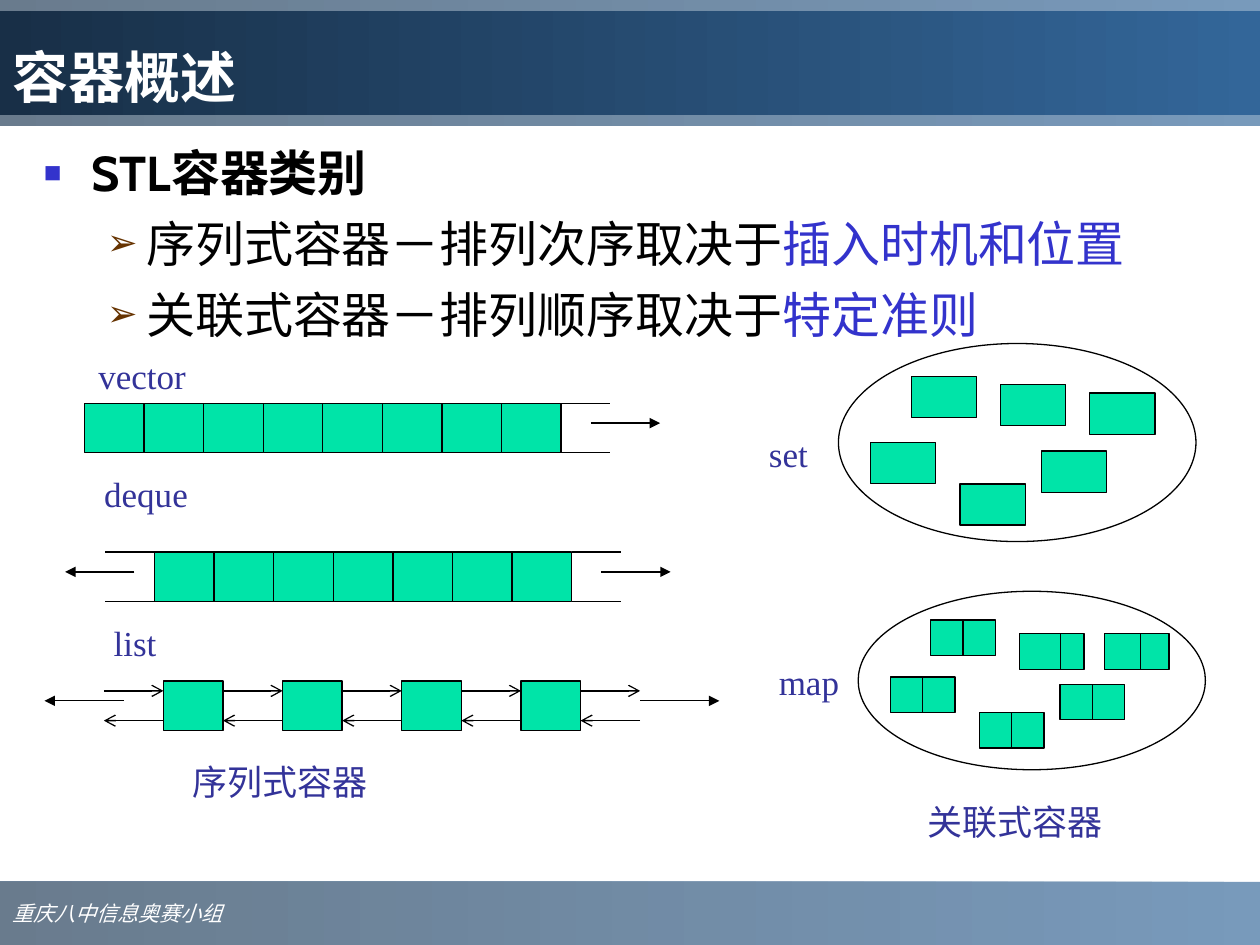
from lxml import etree
from pptx import Presentation
from pptx import util as u
from pptx.dml.color import RGBColor
from pptx.enum import shapes, text
from pptx.oxml.ns import qn

COLORS = {
    "black": "000000", "white": "FFFFFF", "cell": "00E4A8", "label": "333399",
    "accent": "3333CC", "brown": "663300", "sky": "336699",
    "band_dark": "1C3853", "title_dark": "182F47",
}
TITLE = "容器概述"
FOOTER = "重庆八中信息奥赛小组"
OUTLINE = [
    {"level": 0, "indent": (27, -27), "bullet": ("■", "accent", 60),
     "spans": [("STL容器类别", "black", True)]},
    {"level": 1, "indent": (58.5, -22.5), "bullet": ("➢", "brown", 75),
     "spans": [("序列式容器－排列次序取决于", "black", False), ("插入时机和位置", "accent", False)]},
    {"level": 1, "indent": (58.5, -22.5), "bullet": ("➢", "brown", 75),
     "spans": [("关联式容器－排列顺序取决于", "black", False), ("特定准则", "accent", False)]},
]
LABELS = [
    ("vector", 56, 202.3, 50.5), ("deque", 59.5, 270, 48), ("list", 65, 355, 24.5),
    ("序列式容器", 105, 434.4, 110), ("set", 439.3, 247, 22.5), ("map", 445, 377.5, 34.5),
    ("关联式容器", 525, 457.2, 110),
]
CELL_W, CELL_H = 34.05, 28.2
VECTOR = {"left": 48.25, "top": 230.5, "count": 8, "open_left": False}
DEQUE = {"left": 88.3, "top": 315.5, "count": 7, "open_left": True}
LIST = {"left": 93.4, "top": 389.1, "count": 4}
SET_OVAL = (479.1, 196.3, 204.3, 113.2)
SET_CELLS = [(520.8, 215), (571.7, 219.7), (497.3, 252.8), (548.5, 276.5), (595, 257.7), (622.7, 224.5)]
SET_SIZE = (37.4, 23.6)
MAP_OVAL = (490.4, 337.9, 198.4, 102)
MAP_CELLS = [
    (531.8, 354.3, None), (582.5, 362.2, 23.4), (508.8, 386.9, None),
    (559.6, 407.2, None), (605.7, 391, None), (631.1, 362.2, 20.5),
]
MAP_SIZE = (37, 20.3)


def rgb(name):
    return RGBColor.from_string(COLORS[name])


def points(*values):
    return [u.Pt(round(value, 2)) for value in values]


def add_shape(page, kind, place, fill):
    shape = page.shapes.add_shape(kind, *points(*place))
    shape.shadow.inherit = False
    shape.fill.solid()
    shape.fill.fore_color.rgb = rgb(fill)
    shape.line.color.rgb = rgb("black")
    shape.line.width = u.Pt(0.75)
    return shape


def add_cell(page, left, top, width=CELL_W, height=CELL_H):
    return add_shape(page, shapes.MSO_SHAPE.RECTANGLE, (left, top, width, height), "cell")


def add_band(page, place, dark, alpha=None):
    band = add_shape(page, shapes.MSO_SHAPE.RECTANGLE, place, "white")
    band.line.fill.background()
    band.fill.gradient()
    band.fill.gradient_angle = 180
    for stop, name, position in zip(band.fill.gradient_stops, ("sky", dark), (0, 1)):
        stop.color.rgb = rgb(name)
        stop.position = position
    if alpha:
        for color in band._element.spPr.iter(qn("a:srgbClr")):
            etree.SubElement(color, qn("a:alpha"), val=str(alpha * 1000))
    return band


def add_line(page, start, end, head=None):
    line = page.shapes.add_connector(shapes.MSO_CONNECTOR.STRAIGHT, *points(*start, *end))
    line.line.color.rgb = rgb("black")
    line.line.width = u.Pt(0.75)
    if head:
        etree.SubElement(line.line._get_or_add_ln(), qn("a:tailEnd"), type=head)
    etree.SubElement(line._element.spPr, qn("a:effectLst"))
    return line


def add_span(para, words, *, size, font, color, bold=False, italic=False):
    span = para.add_run()
    span.text = words
    span.font.size = u.Pt(size)
    span.font.name = font
    span.font.bold = bold
    span.font.italic = italic
    span.font.color.rgb = rgb(color)


def set_frame(frame, anchor, wrap, margins=(7.2, 3.6)):
    frame.word_wrap = wrap
    frame.vertical_anchor = anchor
    frame.margin_left = frame.margin_right = u.Pt(margins[0])
    frame.margin_top = frame.margin_bottom = u.Pt(margins[1])
    return frame.paragraphs[0]


def set_bullet(para, sign, color, percent, indent):
    props = para._p.get_or_add_pPr()
    props.set("marL", str(u.Pt(indent[0])))
    props.set("indent", str(u.Pt(indent[1])))
    tint = etree.SubElement(props, qn("a:buClr"))
    etree.SubElement(tint, qn("a:srgbClr"), val=COLORS[color])
    etree.SubElement(props, qn("a:buSzPct"), val=str(percent * 1000))
    etree.SubElement(props, qn("a:buFont"), typeface="Arial")
    etree.SubElement(props, qn("a:buChar"), char=sign)


def add_outline(page):
    box = page.shapes.add_textbox(*points(18, 78, 678, 420))
    para = set_frame(box.text_frame, text.MSO_ANCHOR.TOP, True)
    for index, item in enumerate(OUTLINE):
        if index:
            para = box.text_frame.add_paragraph()
            para.space_before = u.Pt(7)
        para.level = item["level"]
        set_bullet(para, *item["bullet"], item["indent"])
        for words, color, bold in item["spans"]:
            add_span(para, words, size=28, font="Cabin", color=color, bold=bold)


def add_label(page, words, left, top, width):
    box = page.shapes.add_textbox(*points(left, top, width, 24))
    para = set_frame(box.text_frame, text.MSO_ANCHOR.TOP, False, (0, 0))
    para.alignment = text.PP_ALIGN.CENTER
    add_span(para, words, size=20, font="Times New Roman", color="label")


def add_array(page, left, top, count, open_left):
    for index in range(count):
        add_cell(page, left + index * CELL_W, top)
    ends = [(left + count * CELL_W, 1, 17)] + ([(left, -1, 11.5)] if open_left else [])
    for edge, side, gap in ends:
        for y in (top, top + CELL_H):
            add_line(page, (edge, y), (edge + side * 28.2, y))
        y = top + 11.3
        start = edge + side * gap
        add_line(page, (start, y), (start + side * 39.6, y), "triangle")


def add_list(page, left, top, count):
    pitch = 2 * CELL_W
    for index in range(count):
        add_cell(page, left + index * pitch, top)
    for index in range(count + 1):
        end = left + index * pitch
        start = end - CELL_W
        add_line(page, (start, top + 5.7), (end, top + 5.7), "arrow")
        add_line(page, (end, top + 22.7), (start, top + 22.7), "arrow")
    y = top + 11.4
    right = left + count * pitch
    add_line(page, (right, y), (right + 45.3, y), "triangle")
    add_line(page, (left - 22.7, y), (left - 68, y), "triangle")


def add_set(page):
    add_shape(page, shapes.MSO_SHAPE.OVAL, SET_OVAL, "white")
    for left, top in SET_CELLS:
        add_cell(page, left, top, *SET_SIZE)


def add_map(page):
    add_shape(page, shapes.MSO_SHAPE.OVAL, MAP_OVAL, "white")
    width, height = MAP_SIZE
    for left, top, split in MAP_CELLS:
        cell = add_cell(page, left, top, width, height)
        x = left + (split or width / 2)
        divider = add_line(page, (x, top), (x, top + height))
        if split is None:
            divider.begin_connect(cell, 0)
            divider.end_connect(cell, 2)


def main():
    deck = Presentation()
    deck.slide_width, deck.slide_height = points(720, 540)
    page = deck.slides.add_slide(deck.slide_layouts[6])

    footer = add_band(page, (0, 504, 720, 36), "band_dark", 66)
    para = set_frame(footer.text_frame, text.MSO_ANCHOR.MIDDLE, False)
    para.alignment = text.PP_ALIGN.LEFT
    add_span(para, FOOTER, size=12, font="Arial", color="white", italic=True)
    add_band(page, (0, 0, 720, 72), "band_dark", 66)
    title = add_band(page, (0, 6, 720, 60), "title_dark")
    para = set_frame(title.text_frame, text.MSO_ANCHOR.BOTTOM, True)
    para.alignment = text.PP_ALIGN.LEFT
    add_span(para, TITLE, size=32, font="Cabin", color="white", bold=True)

    add_outline(page)
    add_array(page, **VECTOR)
    add_array(page, **DEQUE)
    add_list(page, **LIST)
    add_map(page)
    add_set(page)
    for label in LABELS:
        add_label(page, *label)
    deck.save("out.pptx")


if __name__ == "__main__":
    main()
